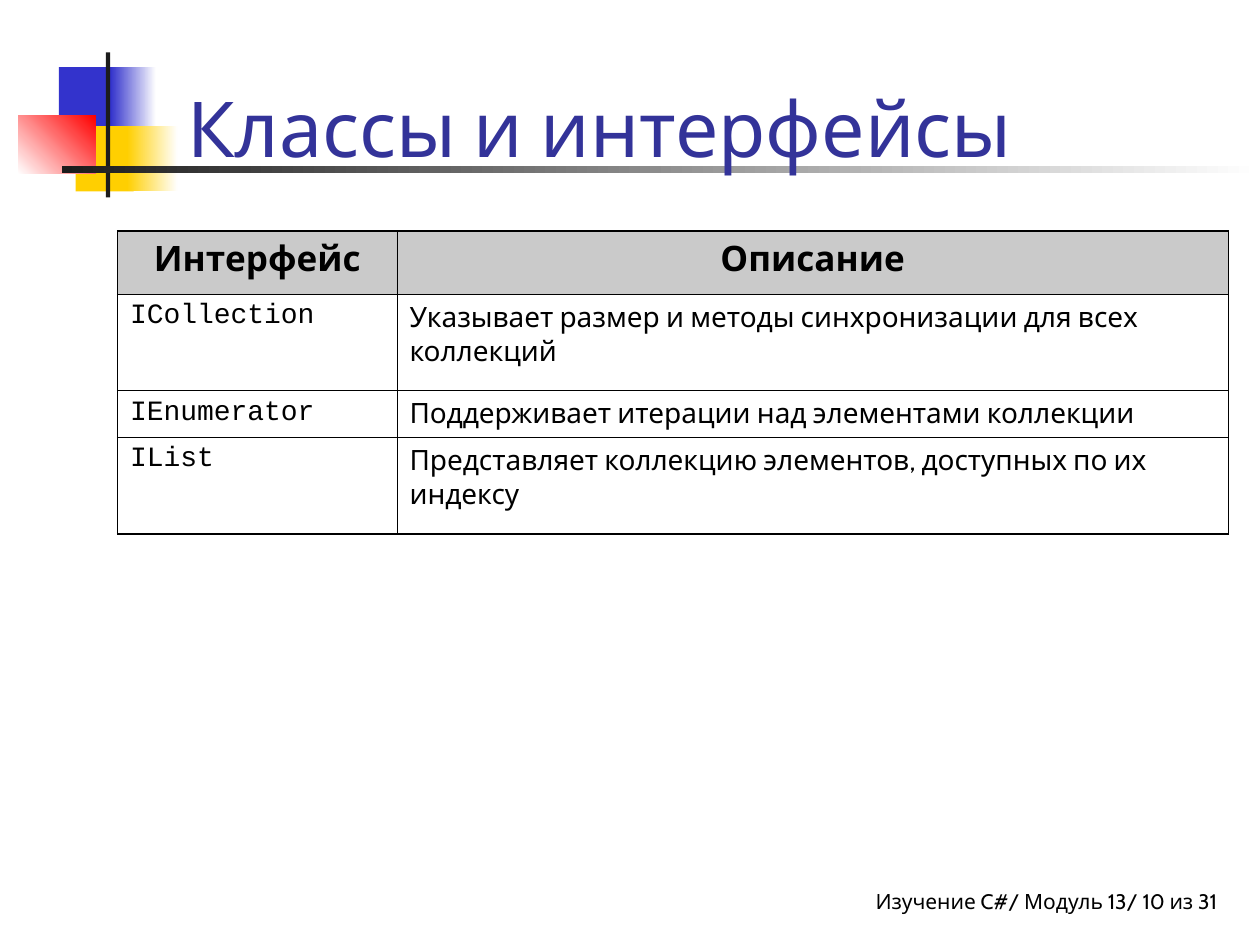
from lxml import etree
from pptx import Presentation
from pptx.dml.color import RGBColor
from pptx.enum.shapes import MSO_SHAPE
from pptx.enum.text import MSO_ANCHOR, PP_ALIGN
from pptx.oxml.ns import qn
from pptx.util import Pt

RECTANGLE = MSO_SHAPE.RECTANGLE
TOP, BOTTOM = MSO_ANCHOR.TOP, MSO_ANCHOR.BOTTOM
LEFT, CENTER, RIGHT = PP_ALIGN.LEFT, PP_ALIGN.CENTER, PP_ALIGN.RIGHT

BODY_FONT, CODE_FONT = "Cabin", "Courier New"
BLACK, WHITE, DARK = "000000", "FFFFFF", "1C1C1C"
BLUE, YELLOW, RED, TITLE_BLUE = "3333CC", "FFCF01", "FF0000", "333399"
HEADER_GRAY = "969696"
OUTER_LINE, INNER_LINE = 1.08, 0.45


def color(hex_value):
    return RGBColor.from_string(hex_value)


class SlideBuilder:
    def __init__(self, slide):
        self.slide = slide

    def style(self, paragraph, size, ink=BLACK, font=BODY_FONT, bold=False, align=LEFT):
        paragraph.alignment = align
        paragraph.font.name = font
        paragraph.font.size = Pt(size)
        paragraph.font.bold = bold
        paragraph.font.color.rgb = color(ink)

    def text(self, box, words, size, ink=BLACK, align=LEFT, anchor=TOP, right_inset=7.2):
        shape = self.slide.shapes.add_textbox(*map(Pt, box))
        frame = shape.text_frame
        frame.word_wrap = True
        frame.vertical_anchor = anchor
        frame.margin_right = Pt(right_inset)
        paragraph = frame.paragraphs[0]
        paragraph.text = words
        self.style(paragraph, size, ink, align=align)

    def block(self, box, start, end=None, angle=0):
        """Rectangle in one colour, or fading from start to end."""
        shape = self.slide.shapes.add_shape(RECTANGLE, *map(Pt, box))
        shape.shadow.inherit = False
        shape.line.fill.background()
        if end is None:
            shape.fill.solid()
            shape.fill.fore_color.rgb = color(start)
            return
        shape.fill.gradient()
        shape.fill.gradient_angle = angle
        for stop, hex_value in zip(shape.fill.gradient_stops, (start, end)):
            stop.color.rgb = color(hex_value)

    def borders(self, cell, widths):
        properties = cell._tc.get_or_add_tcPr()
        for index, (side, width) in enumerate(widths.items()):
            line = etree.Element(qn(f"a:ln{side}"), w=str(Pt(width)))
            fill = etree.SubElement(line, qn("a:solidFill"))
            etree.SubElement(fill, qn("a:srgbClr"), val=BLACK)
            properties.insert(index, line)

    def header_fill(self, cell):
        cell.fill.solid()
        cell.fill.fore_color.rgb = color(HEADER_GRAY)
        tint = cell._tc.tcPr.find(f".//{qn('a:srgbClr')}")
        etree.SubElement(tint, qn("a:alpha"), val="50000")

    def table(self, left, top, column_widths, row_heights, rows):
        box = (left, top, sum(column_widths), sum(row_heights))
        table = self.slide.shapes.add_table(
            len(rows), len(column_widths), *map(Pt, box)).table
        table.first_row = table.horz_banding = False
        for column, width in zip(table.columns, column_widths):
            column.width = Pt(width)
        for row, height in zip(table.rows, row_heights):
            row.height = Pt(height)

        last_row, last_column = len(rows) - 1, len(column_widths) - 1
        for r, row in enumerate(rows):
            for c, words in enumerate(row):
                cell = table.cell(r, c)
                cell.text = words
                paragraph = cell.text_frame.paragraphs[0]
                if r == 0:
                    self.header_fill(cell)
                    self.style(paragraph, 20, bold=True, align=CENTER)
                    paragraph.space_before = Pt(5)
                else:
                    cell.fill.background()
                    self.style(paragraph, 16, font=CODE_FONT if c == 0 else BODY_FONT)
                    paragraph.space_before = Pt(4)
                on_edge = {"L": c == 0, "R": c == last_column,
                           "T": r == 0, "B": r == last_row}
                self.borders(cell, {side: OUTER_LINE if edge else INNER_LINE
                                    for side, edge in on_edge.items()})


def main():
    presentation = Presentation()
    presentation.slide_width, presentation.slide_height = Pt(720), Pt(540)
    slide = presentation.slides.add_slide(presentation.slide_layouts[6])
    slide.background.fill.solid()
    slide.background.fill.fore_color.rgb = color(WHITE)
    builder = SlideBuilder(slide)

    # Footer
    builder.text((329.8, 504, 365.8, 23.8), "Изучение C#/ Модуль 13/ 10 из 31", 12,
                 align=RIGHT, right_inset=0)

    # Corner ornament: coloured squares, then the dark cross lines
    builder.block((33.6, 38.4, 34.6, 37.4), BLUE)
    builder.block((63.2, 38.4, 26, 37.4), BLUE, WHITE)
    builder.block((43.3, 72, 33.1, 37.4), YELLOW)
    builder.block((72.7, 72, 28.8, 37.4), YELLOW, WHITE)
    builder.block((10.5, 66, 44.2, 33.4), WHITE, RED, angle=45)
    builder.block((60.5, 30, 2.4, 82.8), DARK)
    builder.block((35.3, 95, 684.7, 4.2), DARK, WHITE)

    # Title
    builder.text((100, 12.2, 613.5, 90), "Классы и интерфейсы", 44, TITLE_BLUE,
                 anchor=BOTTOM)

    # Table of interfaces
    builder.table(67.2, 132, (159.6, 475.2), (36, 55.2, 26.6, 55.2), [
        ("Интерфейс", "Описание"),
        ("ICollection", "Указывает размер и методы синхронизации для всех коллекций"),
        ("IEnumerator", "Поддерживает итерации над элементами коллекции"),
        ("IList", "Представляет коллекцию элементов, доступных по их индексу"),
    ])

    presentation.save("out.pptx")


if __name__ == "__main__":
    main()
